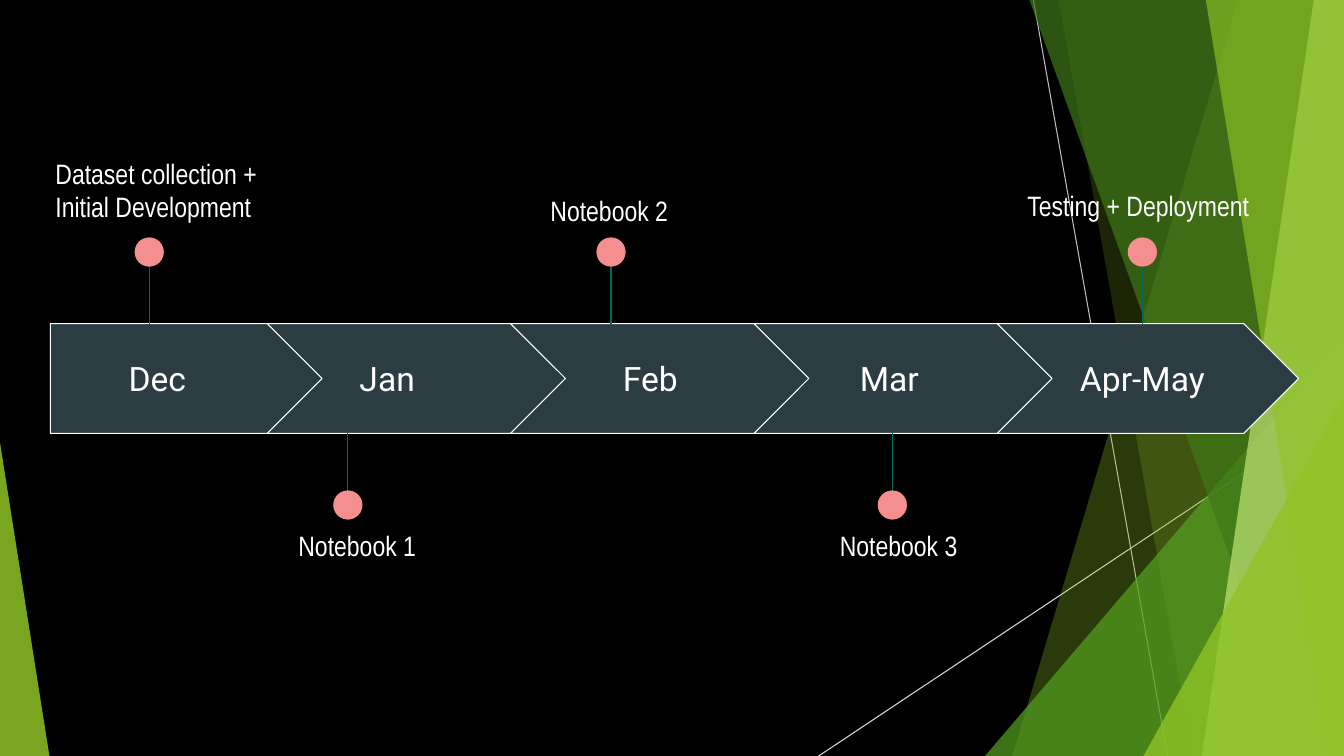
from lxml import etree
from pptx import Presentation, util as u
from pptx.dml.color import RGBColor
from pptx.enum import shapes as kinds, text as t
from pptx.oxml import ns

PX = 9144  # 100 px to the inch
WIDE, HIGH = 1333, 750
WHITE, SLATE, CORAL, TEAL = "FFFFFF", "2C3C43", "F58F8F", "00695C"
LIME = "90C226"
SHAPE = kinds.MSO_SHAPE

# left edge, right edge (top, bottom), hex colour, opacity
SHARDS_BACK = [(1228, 1004, LIME, 30), (1050, 1183, LIME, 20)]
SHARDS_FRONT = [(1021, 1291, "3F7819", 70), (1303, 1192, "C0E474", 70),
                (1196, 1318, LIME, 65)]

# month, centre of month, centre of dot, above the band, label, label left, top, width
STEPS = [
    ("Dec", 156, 148, True, "Dataset collection + Initial Development", 42, 142, 228),
    ("Jan", 384, 345, False, "Notebook 1", 283, 506, 245),
    ("Feb", 645, 606, True, "Notebook 2", 533, 174, 327),
    ("Mar", 882, 885, False, "Notebook 3", 820, 506, 327),
    ("Apr-May", 1133, 1133, True, "Testing + Deployment", 1006, 169, 327),
]


def px(*nums):
    return [round(n * PX) for n in nums]


def rgb(code):
    return RGBColor.from_string(code)


def paint(shape, fill, line=None, alpha=100):
    shape.shadow.inherit = False
    shape.fill.solid()
    shape.fill.fore_color.rgb = rgb(fill)
    if alpha < 100:
        color = next(shape._element.spPr.iter(ns.qn("a:srgbClr")))
        etree.SubElement(color, ns.qn("a:alpha"), val=str(alpha * 1000))
    if line:
        shape.line.color.rgb = rgb(line)
        shape.line.width = u.Pt(0.75)
    else:
        shape.line.fill.background()


def preset(slide, kind, box, fill, line=None, alpha=100, adj=None):
    shape = slide.shapes.add_shape(kind, *px(*box))
    if adj is not None:
        shape.adjustments[0] = adj
    paint(shape, fill, line, alpha)


def rule(slide, ends, color):
    line = slide.shapes.add_connector(kinds.MSO_CONNECTOR.STRAIGHT, *px(*ends))
    line.line.color.rgb = rgb(color)
    line.line.width = u.Pt(0.75)
    etree.SubElement(line._element.spPr, ns.qn("a:effectLst"))


def write(slide, box, words, font, size, align=t.PP_ALIGN.LEFT,
          anchor=t.MSO_ANCHOR.TOP, lead=None, after=0):
    frame = slide.shapes.add_textbox(*px(*box)).text_frame
    frame.word_wrap = True
    frame.vertical_anchor = anchor
    frame.margin_left = frame.margin_right = px(13)[0]
    frame.margin_top = frame.margin_bottom = px(13)[0]
    para = frame.paragraphs[0]
    para.alignment = align
    para.line_spacing = lead
    para.space_after = u.Pt(after)
    run = para.add_run()
    run.text = words
    run.font.name = font
    run.font.size = u.Pt(size)
    run.font.color.rgb = rgb(WHITE)


def shard(slide, top, foot, color, alpha):
    """Draw a slanted band that runs to the right edge of the slide."""
    pen = slide.shapes.build_freeform(top, 0, scale=PX)
    pen.add_line_segments([(WIDE, 0), (WIDE, HIGH), (foot, HIGH)], close=True)
    paint(pen.convert_to_shape(), color, alpha=alpha)


def wedge(slide, left, top, width, color, alpha, adj):
    """Draw a right-angled triangle that stands on the foot of the slide."""
    box = left, top, width, HIGH - top
    preset(slide, SHAPE.ISOSCELES_TRIANGLE, box, color, alpha=alpha, adj=adj)


def facets(slide):
    rule(slide, (1025, 0, 1158, HIGH), "BFBFBF")
    rule(slide, (WIDE, 403, 812, HIGH), "D9D9D9")
    for part in SHARDS_BACK:
        shard(slide, *part)
    wedge(slide, 977, 333, 356, "54A021", 72, 1)
    for part in SHARDS_FRONT:
        shard(slide, *part)
    wedge(slide, 1134, 393, 199, LIME, 80, 1)
    wedge(slide, 0, 439, 49, LIME, 85, 0)


def marker(slide, mid, above, top, foot):
    """Draw a dot and the stem that ties it to the band."""
    size, gap = 29, 71
    edge, center = (top, top - gap) if above else (foot, foot + gap)
    rule(slide, (mid, center, mid, edge), TEAL)
    preset(slide, SHAPE.OVAL, (mid - size / 2, center - size / 2, size, size), CORAL)


def timeline(slide, left, top, height):
    first, width, pitch = 273, 299, 241.33
    for i, (month, mid, dot, above, label, x, y, w) in enumerate(STEPS):
        if i == 0:
            kind, box = SHAPE.PENTAGON, (left, top, first, height)
        else:
            start = left + 215 + (i - 1) * pitch
            kind, box = SHAPE.CHEVRON, (start, top, width, height)
        preset(slide, kind, box, SLATE, WHITE, adj=0.5)
        write(slide, (mid - 96, top + 20, 192, 69), month, "Roboto", 24,
              align=t.PP_ALIGN.CENTER, anchor=t.MSO_ANCHOR.MIDDLE)
        marker(slide, dot, above, top, top + height)
        wraps = i == 0
        write(slide, (x, y, w, 132 if wraps else 69), label, "Arial Narrow", 20,
              lead=None if wraps else 1.15, after=0 if wraps else 21.3)


def main():
    deck = Presentation()
    deck.slide_width, deck.slide_height = u.Inches(13.33), u.Inches(7.5)
    slide = deck.slides.add_slide(deck.slide_layouts[6])
    slide.background.fill.solid()
    slide.background.fill.fore_color.rgb = rgb("000000")
    facets(slide)
    timeline(slide, 50, 321, 109)
    deck.save("out.pptx")


if __name__ == "__main__":
    main()
